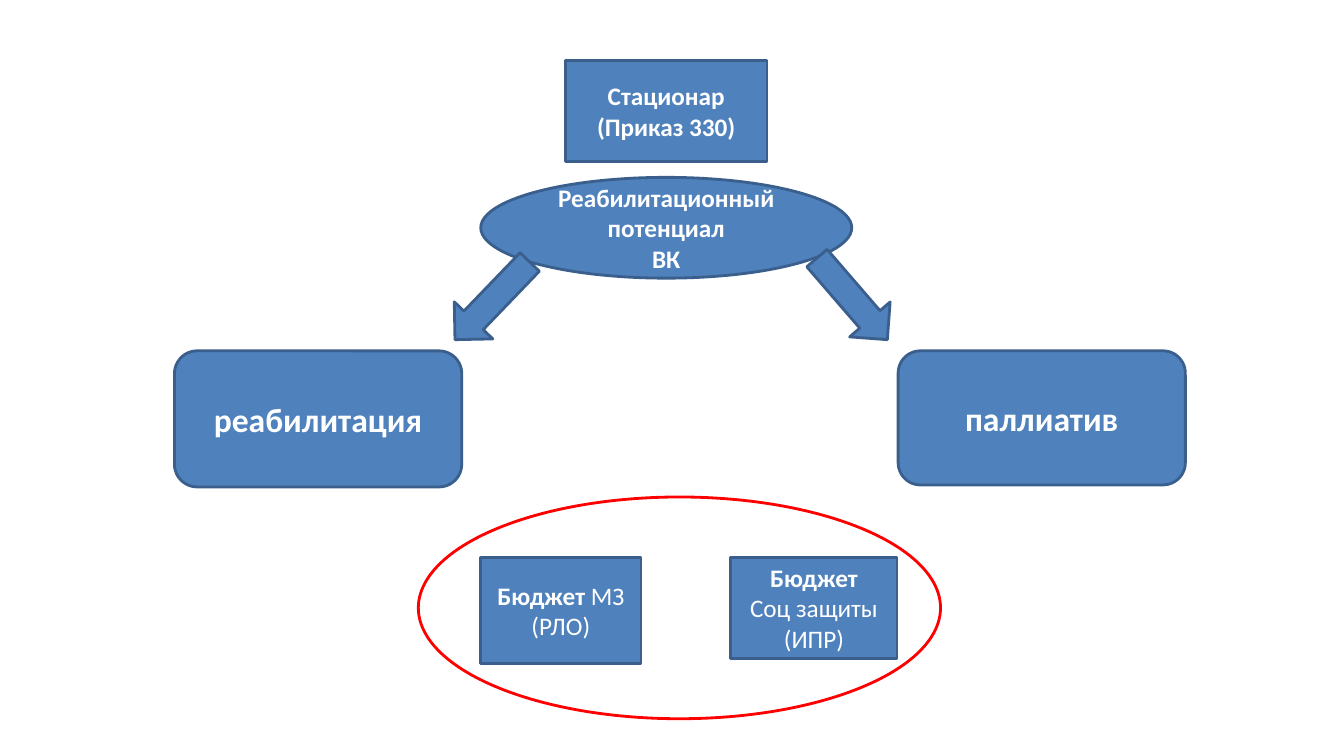
from pptx import Presentation
from pptx.dml.color import RGBColor
from pptx.enum.shapes import MSO_SHAPE
from pptx.enum.text import MSO_ANCHOR, PP_ALIGN
from pptx.util import Pt

COLORS = {"fill": "4F81BD", "line": "3A5F8C", "white": "FFFFFF", "red": "FF0000"}


def rgb(name):
    return RGBColor.from_string(COLORS[name])


def add_block(s, kind, box, paragraphs=(), size=18, fill="fill", line="line"):
    sp = s.shapes.add_shape(kind, *(Pt(v) for v in box))
    sp.shadow.inherit = False
    sp.fill.solid()
    sp.fill.fore_color.rgb = rgb(fill)
    sp.line.color.rgb = rgb(line)
    sp.line.width = Pt(2)
    tf = sp.text_frame
    tf.word_wrap = True
    tf.vertical_anchor = MSO_ANCHOR.MIDDLE
    for i, runs in enumerate(paragraphs):
        p = tf.add_paragraph() if i else tf.paragraphs[0]
        p.alignment = PP_ALIGN.CENTER
        for text, bold in runs:
            r = p.add_run()
            r.text = text
            r.font.name = "Calibri"
            r.font.size = Pt(size)
            r.font.bold = bold
            r.font.color.rgb = rgb("white")
    return sp


def add_budgets(s, x, y, w, h):
    add_block(s, MSO_SHAPE.OVAL, (x, y, w, h), fill="white", line="red")
    add_block(s, MSO_SHAPE.RECTANGLE, (x + 44.6, y + 43.2, 114.5, 75.6),
              [[("Бюджет", True), (" МЗ (РЛО)", False)]])
    add_block(s, MSO_SHAPE.RECTANGLE, (x + 223.2, y + 43.2, 118.8, 72),
              [[("Бюджет", True)], [("Соц защиты (ИПР)", False)]])


def add_assessment(s, x, y, w):
    hospital_w, row_h = 144, 72
    add_block(s, MSO_SHAPE.RECTANGLE, (x + (w - hospital_w) / 2, y, hospital_w, row_h),
              [[("Стационар", True)], [("(Приказ 330)", True)]])
    add_block(s, MSO_SHAPE.OVAL, (x, y + 83.5, w, row_h),
              [[("Реабилитационный потенциал", True)], [("ВК", True)]])
    for dx, dy, angle in ((-10.8, 133.2, 43.9), (246.2, 131.8, 319.2)):
        arrow = add_block(s, MSO_SHAPE.DOWN_ARROW, (x + dx, y + dy, 38.2, 77))
        arrow.rotation = angle


def add_outcomes(s, x, y, w, h):
    card_w = 205.2
    cards = (("реабилитация", x, h), ("паллиатив", x + w - card_w, h - 1.4))
    for text, left, card_h in cards:
        add_block(s, MSO_SHAPE.ROUNDED_RECTANGLE, (left, y, card_w, card_h),
                  [[(text, True)]], size=24)


def main():
    prs = Presentation()
    prs.slide_width, prs.slide_height = Pt(960), Pt(540)
    s = prs.slides.add_slide(prs.slide_layouts[6])
    add_budgets(s, 298.8, 355, 373, 158.4)
    add_assessment(s, 343.4, 43.2, 265)
    add_outcomes(s, 124.6, 250.6, 722.1, 97.2)
    prs.save("out.pptx")


if __name__ == "__main__":
    main()
